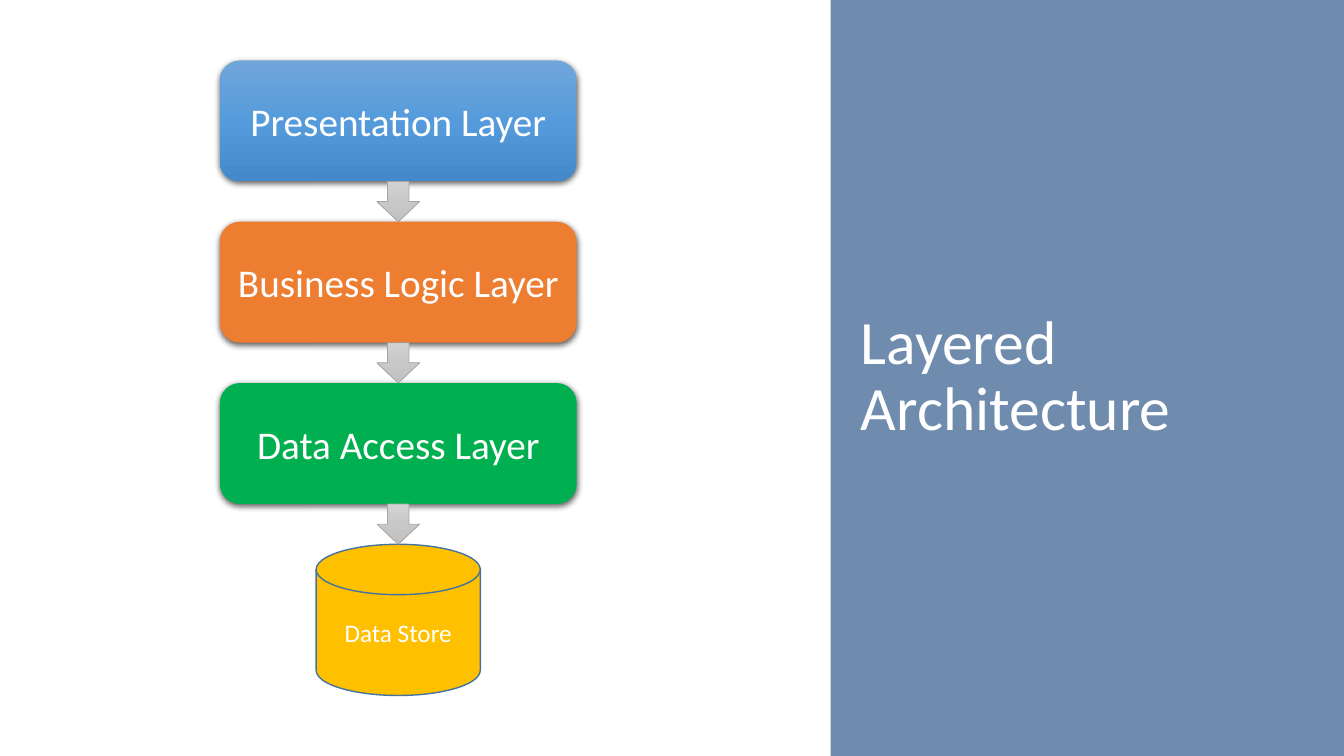
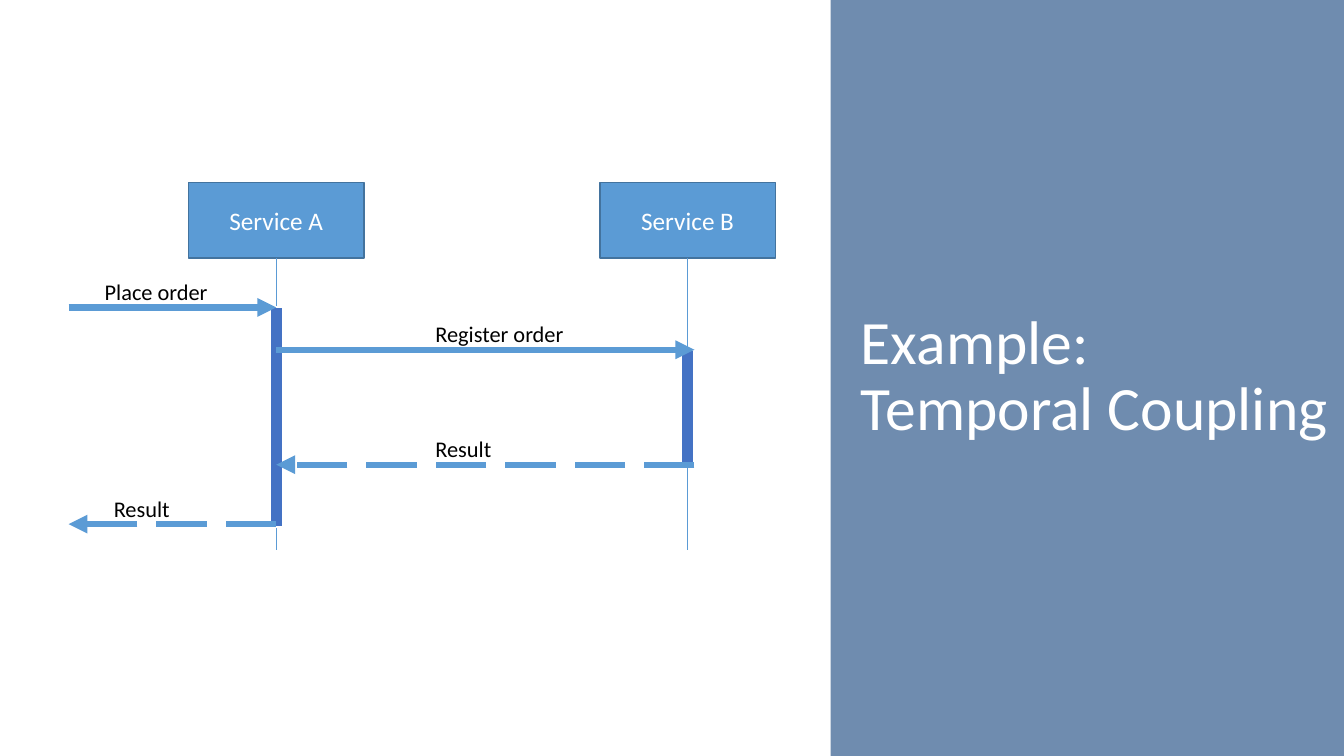
from dataclasses import dataclass

from lxml import etree
from pptx import Presentation
from pptx.dml.color import RGBColor
from pptx.enum.dml import MSO_LINE
from pptx.enum.shapes import MSO_CONNECTOR, MSO_SHAPE
from pptx.enum.text import MSO_ANCHOR, MSO_AUTO_SIZE, PP_ALIGN
from pptx.oxml.ns import qn
from pptx.util import Inches, Pt

RECTANGLE = MSO_SHAPE.RECTANGLE
ROUNDED = MSO_SHAPE.ROUNDED_RECTANGLE
DISK = MSO_SHAPE.FLOWCHART_MAGNETIC_DISK
DOWN_ARROW = MSO_SHAPE.DOWN_ARROW
STRAIGHT = MSO_CONNECTOR.STRAIGHT
LONG_DASH = MSO_LINE.LONG_DASH
LEFT, CENTER = PP_ALIGN.LEFT, PP_ALIGN.CENTER
TOP, MIDDLE = MSO_ANCHOR.TOP, MSO_ANCHOR.MIDDLE
NO_FIT, GROW = MSO_AUTO_SIZE.NONE, MSO_AUTO_SIZE.SHAPE_TO_FIT_TEXT
TOP_SIDE, BOTTOM_SIDE = 0, 2
TITLE_ONLY = 5


@dataclass(frozen=True)
class Theme:
    font: str = "Calibri"
    panel: str = "6F8CAF"
    white: str = "FFFFFF"
    black: str = "000000"
    presentation: tuple = ("71A6DB", "559BDB", "448ACA")
    business: str = "ED7D31"
    access: str = "00B050"
    store: str = "FFC000"
    flow: tuple = ("D2D2D2", "C8C8C8", "C0C0C0")
    flow_edge: str = "A5A5A5"
    service: str = "5B9BD5"
    edge: str = "43739E"
    activation: str = "4472C4"
    title_size: int = 44
    layer_size: int = 28
    node_size: int = 18
    label_size: int = 16


THEME = Theme()


@dataclass(frozen=True)
class Grid:
    left: float
    top: float
    width: float
    height: float
    columns: float = 1
    rows: float = 1

    def x(self, column):
        return Inches(self.left + self.width * column / self.columns)

    def y(self, row):
        return Inches(self.top + self.height * row / self.rows)

    def cell(self, column, row, columns, rows):
        x, y = self.x(column), self.y(row)
        return x, y, self.x(column + columns) - x, self.y(row + rows) - y

    def centred(self, middle, row, columns, rows):
        return self.cell(middle - columns / 2, row, columns, rows)


PAGE = Grid(0, 0, 13.33, 7.5)
LAYERS = Grid(2.18, 0.6, 3.54, 6.3, columns=1, rows=63)
SEQUENCE = Grid(0.68, 1.81, 7, 3.65, columns=70, rows=36.5)


def rgb(value):
    return RGBColor.from_string(value)


def write(shape, text, size=THEME.node_size, color=THEME.white, align=CENTER,
          anchor=MIDDLE, side=0.0, fit=NO_FIT, spacing=None):
    frame = shape.text_frame
    frame.word_wrap = True
    frame.auto_size = fit
    frame.vertical_anchor = anchor
    frame.margin_left = frame.margin_right = Inches(side)
    frame.text = text.replace("\n", "\v")
    paragraph = frame.paragraphs[0]
    paragraph.alignment = align
    paragraph.line_spacing = spacing
    paragraph.font.name = THEME.font
    paragraph.font.size = Pt(size)
    paragraph.font.color.rgb = rgb(color)


def add_gradient(shape, colors):
    shape.fill.background()
    blank = shape.element.spPr.find(qn("a:noFill"))
    gradient = etree.Element(qn("a:gradFill"), rotWithShape="1")
    stops = etree.SubElement(gradient, qn("a:gsLst"))
    for index, color in enumerate(colors):
        position = 100000 * index // (len(colors) - 1)
        stop = etree.SubElement(stops, qn("a:gs"), pos=str(position))
        etree.SubElement(stop, qn("a:srgbClr"), val=color)
    etree.SubElement(gradient, qn("a:lin"), ang="5400000", scaled="0")
    blank.getparent().replace(blank, gradient)


def add_shadow(shape):
    effects = shape.element.spPr.find(qn("a:effectLst"))
    shadow = etree.SubElement(effects, qn("a:outerShdw"), blurRad=str(Pt(4.5)),
                              dist=str(Pt(1.5)), dir="5400000", rotWithShape="0")
    color = etree.SubElement(shadow, qn("a:srgbClr"), val=THEME.black)
    etree.SubElement(color, qn("a:alpha"), val="63000")


def add_block(slide, kind, place, fill, edge=None, weight=1):
    block = slide.shapes.add_shape(kind, *place)
    block.shadow.inherit = False
    if isinstance(fill, tuple):
        add_gradient(block, fill)
    else:
        block.fill.solid()
        block.fill.fore_color.rgb = rgb(fill)
    if edge:
        block.line.color.rgb = rgb(edge)
        block.line.width = Pt(weight)
    else:
        block.line.fill.background()
    return block


def add_line(slide, start, end, weight, dashed=False, arrow=False):
    line = slide.shapes.add_connector(STRAIGHT, *start, *end)
    line.line.color.rgb = rgb(THEME.service)
    line.line.width = Pt(weight)
    if dashed:
        line.line.dash_style = LONG_DASH
    properties = line.element.spPr
    if arrow:
        etree.SubElement(properties.find(qn("a:ln")), qn("a:tailEnd"), type="triangle")
    etree.SubElement(properties, qn("a:effectLst"))
    return line


def add_titled_slide(deck, heading):
    slide = deck.slides.add_slide(deck.slide_layouts[TITLE_ONLY])
    title = slide.shapes.title
    panel = add_block(slide, RECTANGLE, PAGE.cell(0.618, 0, 0.382, 1), THEME.panel)
    title.element.addprevious(panel.element)
    title.left, title.top, title.width, title.height = PAGE.cell(0.633, 0.093, 0.3675, 0.813)
    write(title, heading, size=THEME.title_size, align=LEFT, side=0.1, spacing=0.9)
    return slide


def draw_layers(slide, grid):
    layer_rows, gap_rows, middle = 12, 4, 0.5
    layers = [
        ("Presentation Layer", THEME.presentation),
        ("Business Logic Layer", THEME.business),
        ("Data Access Layer", THEME.access),
    ]
    pitch = layer_rows + gap_rows
    for index, (name, fill) in enumerate(layers):
        row = index * pitch
        layer = add_block(slide, ROUNDED, grid.cell(0, row, 1, layer_rows), fill)
        add_shadow(layer)
        write(layer, name, size=THEME.layer_size)
    store_row = len(layers) * pitch
    store = add_block(slide, DISK,
                      grid.centred(middle, store_row, 0.46, grid.rows - store_row),
                      THEME.store, THEME.edge)
    write(store, "Data Store")
    for index in range(len(layers)):
        add_block(slide, DOWN_ARROW,
                  grid.centred(middle, index * pitch + layer_rows, 0.12, gap_rows),
                  THEME.flow, THEME.flow_edge, 0.5)


def draw_message(slide, grid, caption, start, end, row, caption_column, dashed=False):
    message = add_line(slide, (grid.x(start), grid.y(row)), (grid.x(end), grid.y(row)),
                       4.5, dashed, arrow=True)
    label = slide.shapes.add_textbox(*grid.cell(caption_column, row - 3.4, 17.5, 3.7))
    write(label, caption, size=THEME.label_size, color=THEME.black, align=LEFT,
          anchor=TOP, side=0.1, fit=GROW)
    return message


def draw_sequence(slide, grid):
    head_rows, bar_columns = 7.5, 1.35
    service_a, service_b = 20.6, 61.4
    order_row, register_row, reply_row, result_row = 12.4, 16.6, 28, 33.9
    services = [
        ("Service A", service_a, order_row, 34.2),
        ("Service B", service_b, register_row, reply_row),
    ]
    bars = []
    for name, middle, first_row, last_row in services:
        head = add_block(slide, RECTANGLE, grid.centred(middle, 0, 17.4, head_rows),
                         THEME.service, THEME.edge)
        write(head, name)
        lifeline = add_line(slide, (grid.x(middle), grid.y(head_rows)),
                            (grid.x(middle), grid.y(grid.rows)), 0.5)
        lifeline.begin_connect(head, BOTTOM_SIDE)
        bars.append(add_block(
            slide, RECTANGLE,
            grid.centred(middle, first_row, bar_columns, last_row - first_row),
            THEME.activation, THEME.white, 1.5))

    far_edge = service_b + bar_columns / 2
    order = draw_message(slide, grid, "Place order", 0, service_a, order_row, 2.6)
    order.end_connect(bars[0], TOP_SIDE)
    draw_message(slide, grid, "Register order", service_a, far_edge, register_row, 35.4)
    draw_message(slide, grid, "Result", far_edge, service_a, reply_row, 35.4, dashed=True)
    draw_message(slide, grid, "Result", service_a, 0, result_row, 3.5, dashed=True)


def main():
    deck = Presentation()
    deck.slide_width, deck.slide_height = Inches(PAGE.width), Inches(PAGE.height)
    draw_layers(add_titled_slide(deck, "Layered Architecture"), LAYERS)
    draw_sequence(add_titled_slide(deck, "Example:\nTemporal Coupling"), SEQUENCE)
    deck.save("out.pptx")


if __name__ == "__main__":
    main()
